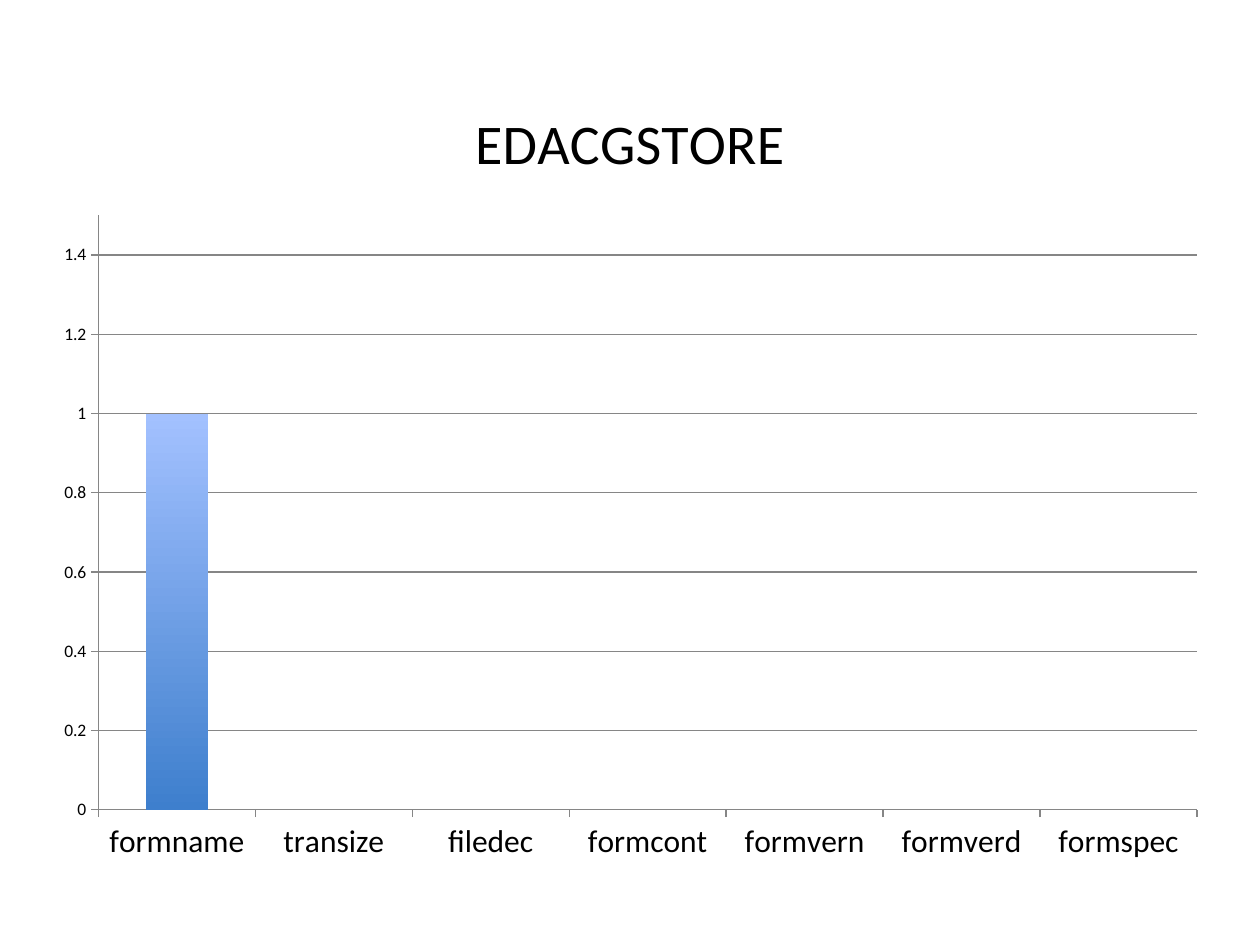
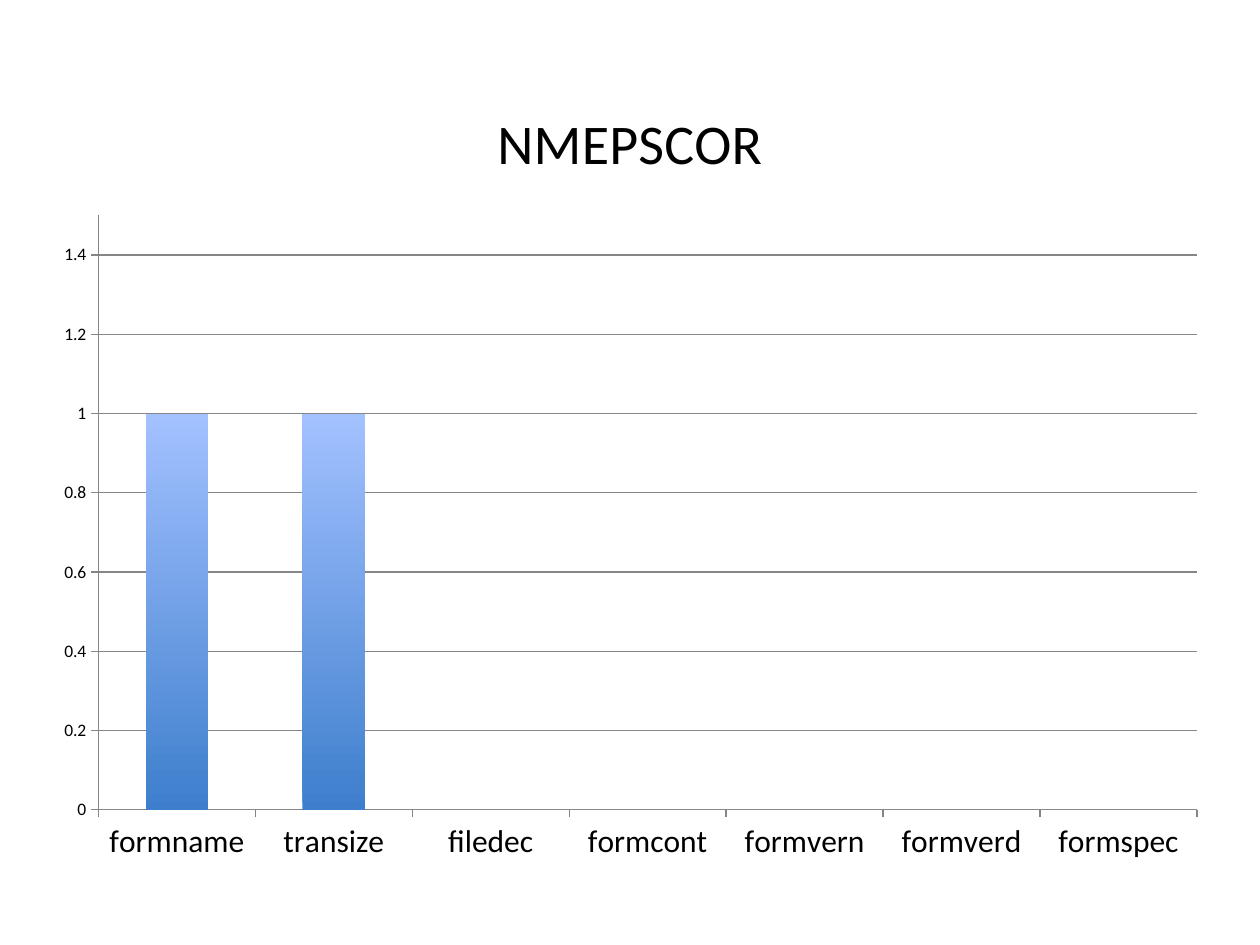
import dataclasses
import pptx
import pptx.util
import pptx.chart.data
import pptx.dml.color
import pptx.enum.chart
from lxml import etree

Pt = pptx.util.Pt
Kind = pptx.enum.chart


def rgb(code):
    return pptx.dml.color.RGBColor.from_string(code)


def apply(item, **style):
    for name, value in style.items():
        setattr(item, name, value)


@dataclasses.dataclass(frozen=True)
class Theme:
    face: str = "Calibri"
    ink: str = "000000"
    rule: str = "868686"
    low: str = "3E7FCD"
    high: str = "A3C1FF"
    title: int = 32
    label: int = 18
    small: int = 10
    line: float = 0.75


class Deck:
    def __init__(self, theme):
        self.theme = theme
        self.show = pptx.Presentation()
        apply(self.show, slide_width=pptx.util.Inches(10),
              slide_height=pptx.util.Inches(7.5))
        self.slide = None

    def page(self):
        self.slide = self.show.slides.add_slide(self.show.slide_layouts[6])

    def place(self, left, top, width, height):
        wide, high = self.show.slide_width, self.show.slide_height
        return [int(part * full) for part, full in
                zip((left, top, width, height), (wide, high, wide, high))]

    def font(self, font, size):
        apply(font, name=self.theme.face, size=Pt(size), bold=False)
        font.color.rgb = rgb(self.theme.ink)

    def line(self, form):
        form.line.color.rgb = rgb(self.theme.rule)
        form.line.width = Pt(self.theme.line)

    def heading(self, chart, text):
        chart.has_title = True
        frame = chart.chart_title.text_frame
        frame.text = text
        self.font(frame.paragraphs[0].runs[0].font, self.theme.title)
        chart.chart_title.include_in_layout = False

    def axis(self, axis, size, **style):
        apply(axis, major_tick_mark=Kind.XL_TICK_MARK.OUTSIDE,
              minor_tick_mark=Kind.XL_TICK_MARK.NONE, **style)
        self.font(axis.tick_labels.font, size)
        self.line(axis.format)
        if axis.has_major_gridlines:
            self.line(axis.major_gridlines.format)

    def frame(self, chart, **share):
        plot = chart.plots[0]._element.getparent()
        space = "{http://schemas.openxmlformats.org/drawingml/2006/chart}"
        for old in plot.findall(space + "layout"):
            plot.remove(old)
        layout = etree.Element(space + "layout")
        manual = etree.SubElement(layout, space + "manualLayout")
        parts = dict(layoutTarget="inner", xMode="edge", yMode="edge", **share)
        for name, value in parts.items():
            etree.SubElement(manual, space + name).set("val", str(value))
        plot.insert(0, layout)

    def columns(self, box, title, names, values):
        data = pptx.chart.data.CategoryChartData()
        data.categories = names
        data.add_series(title, values)
        chart = self.slide.shapes.add_chart(
            Kind.XL_CHART_TYPE.COLUMN_CLUSTERED, *self.place(*box), data).chart
        chart.has_legend = False
        self.font(chart.font, self.theme.small)
        self.heading(chart, title)
        self.axis(chart.category_axis, self.theme.label,
                  has_major_gridlines=False)
        self.axis(chart.value_axis, self.theme.small, has_major_gridlines=True,
                  minimum_scale=0, maximum_scale=1.5, major_unit=0.2)
        self.frame(chart, x=0.05, y=0.18, w=0.93, h=0.74)
        plot = chart.plots[0]
        apply(plot, gap_width=150, vary_by_categories=False)
        bars = plot.series[0]
        bars.invert_if_negative = False
        fill = bars.format.fill
        fill.gradient()
        fill.gradient_angle = 90
        for stop, tint in zip(fill.gradient_stops,
                              (self.theme.low, self.theme.high)):
            stop.color.rgb = rgb(tint)


BOX = (1 / 32, 0.075, 15 / 16, 0.85)
FIELDS = ("formname", "transize", "filedec", "formcont",
          "formvern", "formverd", "formspec")
STORES = {"EDACGSTORE": 1, "NMEPSCOR": 2}

deck = Deck(Theme())
for store, count in STORES.items():
    deck.page()
    deck.columns(BOX, store, FIELDS,
                 [int(spot < count) for spot in range(len(FIELDS))])
deck.show.save("out.pptx")
